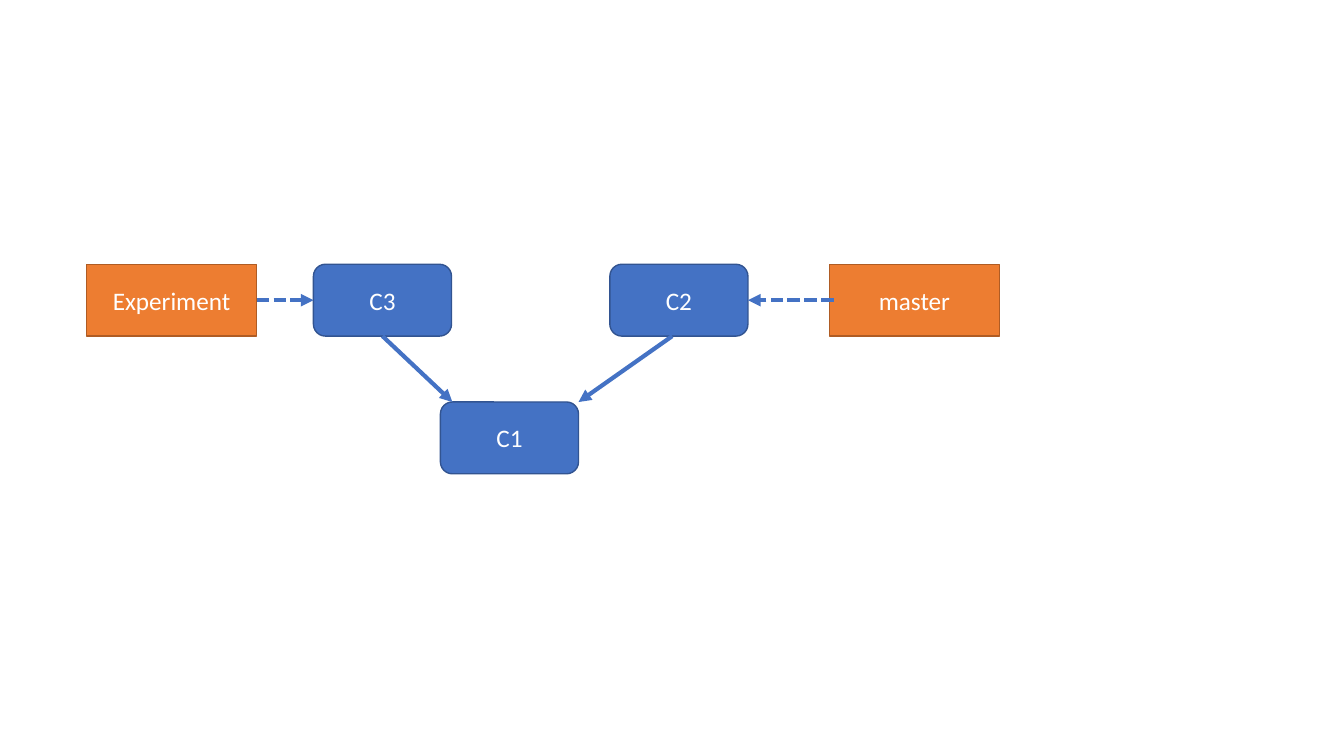
from dataclasses import dataclass
from typing import Optional

from lxml.etree import SubElement
from pptx import Presentation
from pptx.dml.color import RGBColor
from pptx.enum.dml import MSO_LINE_DASH_STYLE as Dash
from pptx.enum.shapes import MSO_CONNECTOR as Connector, MSO_SHAPE as Preset
from pptx.enum.text import MSO_ANCHOR as Anchor, PP_ALIGN as Align
from pptx.oxml.ns import qn
from pptx.util import Cm, Pt

COMMIT_BLUE = "4472C4"
BOX_HEIGHT = 1.81
BRANCH_ROW, BASE_ROW = 6.66, 10.13
BRANCH_MIDDLE = BRANCH_ROW + BOX_HEIGHT / 2
BRANCH_BOTTOM = BRANCH_ROW + BOX_HEIGHT
BOTTOM, LEFT, RIGHT = 2, 1, 3


@dataclass(frozen=True)
class BoxStyle:
    preset: Preset
    width: float
    fill: str
    outline: str


@dataclass(frozen=True)
class Box:
    label: str
    left: float
    top: float
    style: BoxStyle


@dataclass(frozen=True)
class Joint:
    label: str
    side: int


@dataclass(frozen=True)
class Arrow:
    start: tuple[float, float]
    end: tuple[float, float]
    dashed: bool = False
    start_joint: Optional[Joint] = None
    end_joint: Optional[Joint] = None


COMMIT = BoxStyle(Preset.ROUNDED_RECTANGLE, 3.48, COMMIT_BLUE, "325491")
BRANCH = BoxStyle(Preset.RECTANGLE, 4.29, "ED7D31", "AF5C24")

BOXES = [
    Box("C1", 11.1, BASE_ROW, COMMIT),
    Box("C3", 7.9, BRANCH_ROW, COMMIT),
    Box("Experiment", 2.18, BRANCH_ROW, BRANCH),
    Box("C2", 15.37, BRANCH_ROW, COMMIT),
    Box("master", 20.9, BRANCH_ROW, BRANCH),
]

ARROWS = [
    # Commits to their parent
    Arrow((9.64, BRANCH_BOTTOM), (11.4, BASE_ROW), start_joint=Joint("C3", BOTTOM)),
    Arrow((16.94, BRANCH_BOTTOM), (14.58, BASE_ROW)),
    # Branches to their commit
    Arrow((6.47, BRANCH_MIDDLE), (7.9, BRANCH_MIDDLE), True,
          Joint("Experiment", RIGHT), Joint("C3", LEFT)),
    Arrow((21.01, BRANCH_MIDDLE), (18.85, BRANCH_MIDDLE), True,
          end_joint=Joint("C2", RIGHT)),
]


def color(hex_code: str) -> RGBColor:
    return RGBColor.from_string(hex_code)


def draw_box(slide, box: Box):
    style = box.style
    shape = slide.shapes.add_shape(
        style.preset, Cm(box.left), Cm(box.top), Cm(style.width), Cm(BOX_HEIGHT))
    shape.shadow.inherit = False
    shape.fill.solid()
    shape.fill.fore_color.rgb = color(style.fill)
    shape.line.color.rgb = color(style.outline)
    shape.line.width = Pt(1)
    frame = shape.text_frame
    frame.text = box.label
    frame.vertical_anchor = Anchor.MIDDLE
    paragraph = frame.paragraphs[0]
    paragraph.alignment = Align.CENTER
    paragraph.font.name = "Calibri"
    paragraph.font.size = Pt(18)
    paragraph.font.color.rgb = color("FFFFFF")
    return shape


def draw_arrow(slide, arrow: Arrow, shapes: dict) -> None:
    connector = slide.shapes.add_connector(
        Connector.STRAIGHT, *map(Cm, arrow.start + arrow.end))
    if arrow.start_joint:
        connector.begin_connect(shapes[arrow.start_joint.label], arrow.start_joint.side)
    if arrow.end_joint:
        connector.end_connect(shapes[arrow.end_joint.label], arrow.end_joint.side)
    connector.line.color.rgb = color(COMMIT_BLUE)
    connector.line.width = Pt(3)
    if arrow.dashed:
        connector.line.dash_style = Dash.SQUARE_DOT
    # Arrowhead, and no shadow
    SubElement(connector.line._get_or_add_ln(), qn("a:tailEnd"), type="triangle")
    SubElement(connector._element.spPr, qn("a:effectLst"))


def main() -> None:
    presentation = Presentation()
    presentation.slide_width, presentation.slide_height = Cm(33.87), Cm(19.05)
    slide = presentation.slides.add_slide(presentation.slide_layouts[6])
    shapes = {box.label: draw_box(slide, box) for box in BOXES}
    for arrow in ARROWS:
        draw_arrow(slide, arrow, shapes)
    presentation.save("out.pptx")


if __name__ == "__main__":
    main()
